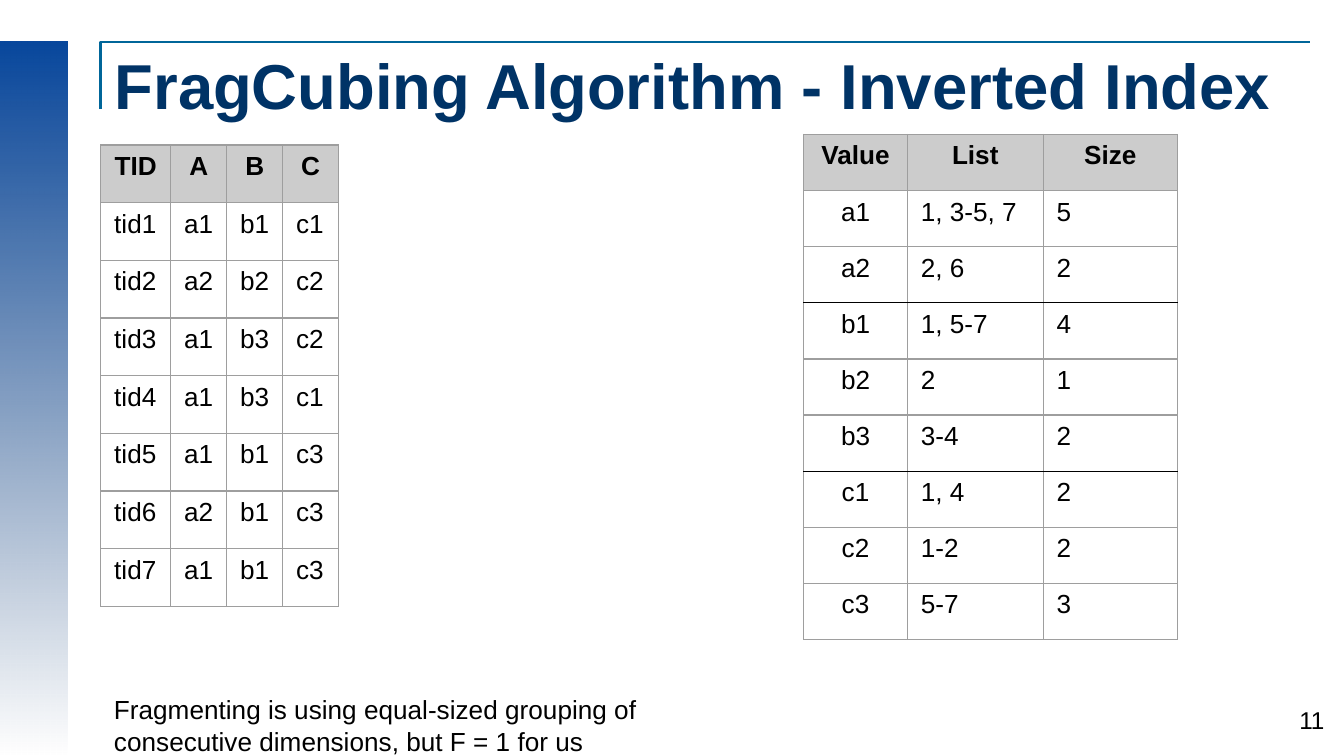
from lxml.etree import SubElement
from pptx import Presentation
from pptx.dml.color import RGBColor
from pptx.enum.shapes import MSO_SHAPE as Shape
from pptx.enum.text import MSO_ANCHOR as Anchor, PP_ALIGN as Align
from pptx.oxml.ns import qn
from pptx.util import Pt

COLORS = {
    "band": "08479C", "band_end": "05326D", "rule": "006699", "title": "003366",
    "text": "000000", "header": "CCCCCC", "grid": "9E9E9E", "divider": "000000",
}
TUPLES = [
    "TID A B C", "tid1 a1 b1 c1", "tid2 a2 b2 c2", "tid3 a1 b3 c2", "tid4 a1 b3 c1",
    "tid5 a1 b1 c3", "tid6 a2 b1 c3", "tid7 a1 b1 c3",
]
INVERTED_INDEX = [
    ("Value", "List", "Size"),
    ("a1", "1, 3-5, 7", "5"), ("a2", "2, 6", "2"),
    ("b1", "1, 5-7", "4"), ("b2", "2", "1"), ("b3", "3-4", "2"),
    ("c1", "1, 4", "2"), ("c2", "1-2", "2"), ("c3", "5-7", "3"),
]


def color(name):
    return RGBColor.from_string(COLORS[name])


def apply(target, values):
    for name, value in values.items():
        setattr(target, name, value)


class SlideBuilder:
    font = "Arial"
    border = 0.75

    def __init__(self, slide):
        self.slide = slide

    def fill_para(self, para, words, size=14, ink="text", bold=False, align=Align.LEFT):
        para.alignment = align
        span = para.add_run()
        span.text = words
        apply(span.font, {"name": self.font, "size": Pt(size), "bold": bold})
        span.font.color.rgb = color(ink)

    def text(self, words, left, top, width, height, insets, anchor=Anchor.TOP, **style):
        box = self.slide.shapes.add_textbox(Pt(left), Pt(top), Pt(width), Pt(height))
        across, down = (Pt(inset) for inset in insets)
        apply(box.text_frame, {
            "word_wrap": True, "vertical_anchor": anchor,
            "margin_left": across, "margin_right": across,
            "margin_top": down, "margin_bottom": down,
        })
        self.fill_para(box.text_frame.paragraphs[0], words, **style)

    def fading_band(self, left, top, width, height):
        """Rectangle that fades downwards to full transparency."""
        band = self.slide.shapes.add_shape(
            Shape.RECTANGLE, Pt(left), Pt(top), Pt(width), Pt(height))
        band.shadow.inherit = False
        band.line.fill.background()
        band.fill.gradient()
        band.fill.gradient_angle = 270
        for stop, name in zip(band.fill.gradient_stops, ("band", "band_end")):
            stop.color.rgb = color(name)
        gradient = band.element.spPr.find(qn("a:gradFill"))
        last_color = list(gradient.iter(qn("a:srgbClr")))[-1]
        SubElement(last_color, qn("a:alpha"), val="0")

    def rule(self, points, width):
        start, *rest = [(Pt(x), Pt(y)) for x, y in points]
        builder = self.slide.shapes.build_freeform(*start)
        builder.add_line_segments(rest, close=False)
        corner = builder.convert_to_shape()
        corner.shadow.inherit = False
        corner.fill.background()
        corner.line.color.rgb = color("rule")
        corner.line.width = Pt(width)

    def cell_borders(self, cell, dark_sides):
        properties = cell._tc.get_or_add_tcPr()
        for side in "LRTB":
            line = SubElement(properties, qn(f"a:ln{side}"), w=str(Pt(self.border)))
            fill = SubElement(line, qn("a:solidFill"))
            name = "divider" if side in dark_sides else "grid"
            SubElement(fill, qn("a:srgbClr"), val=COLORS[name])

    def table(self, rows, left, top, widths, row_height, centred=(), dividers=()):
        """Grid with a grey header; dividers are the rows with a dark line below."""
        table = self.slide.shapes.add_table(
            len(rows), len(widths), Pt(left), Pt(top),
            Pt(sum(widths)), Pt(row_height * len(rows))).table
        apply(table, {"first_row": False, "horz_banding": False})
        for column, width in zip(table.columns, widths):
            column.width = Pt(width)
        for r, values in enumerate(rows):
            table.rows[r].height = Pt(row_height)
            dark_sides = "B" * (r in dividers) + "T" * (r - 1 in dividers)
            for c, value in enumerate(values):
                cell, header = table.cell(r, c), r == 0
                self.cell_borders(cell, dark_sides)
                if header:
                    cell.fill.solid()
                    cell.fill.fore_color.rgb = color("header")
                else:
                    cell.fill.background()
                align = Align.CENTER if header or c in centred else Align.LEFT
                para = cell.text_frame.paragraphs[0]
                self.fill_para(para, value, bold=header, align=align)


def main():
    deck = Presentation()
    apply(deck, {"slide_width": Pt(720), "slide_height": Pt(405)})
    page = SlideBuilder(deck.slides.add_slide(deck.slide_layouts[6]))

    page.fading_band(0, 22.5, 36, 382.5)
    page.rule([(54, 58.5), (54, 22.5), (702, 22.5)], 1.5)
    page.text("FragCubing Algorithm - Inverted Index", 54, 22.5, 642, 45, (7.5, 4.5),
              Anchor.MIDDLE, size=34, ink="title", bold=True)
    page.text("11", 674, 373.5, 43, 31, (7.5, 4.5), size=13, align=Align.RIGHT)
    page.table([row.split() for row in TUPLES], 54, 77.7, (37.5, 30, 30, 30), 30.9)
    page.table(INVERTED_INDEX, 430.6, 72, (55.5, 72.8, 71.9), 30.1,
               centred=(0,), dividers=(2, 5))
    page.text("Fragmenting is using equal-sized grouping of consecutive dimensions, "
              "but F = 1 for us", 54, 364.5, 337.5, 40.5, (7.2, 7.2))
    deck.save("out.pptx")


if __name__ == "__main__":
    main()
